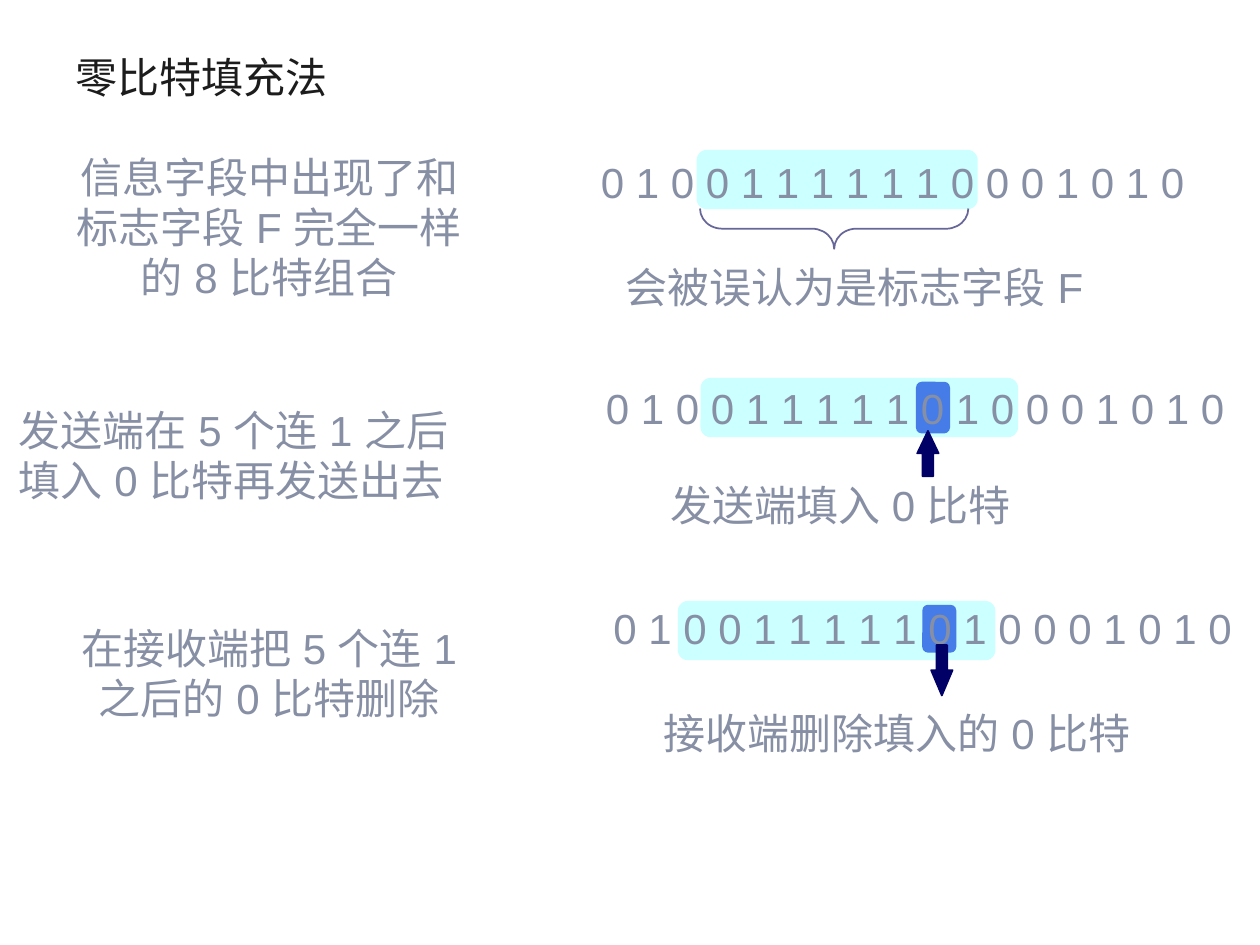
from pptx import Presentation
from pptx.dml.color import RGBColor
from pptx.enum.shapes import MSO_SHAPE
from pptx.enum.text import MSO_ANCHOR, MSO_AUTO_SIZE, PP_ALIGN
from pptx.oxml.xmlchemy import OxmlElement
from pptx.util import Inches, Pt

TITLE_FONT, BODY_FONT = "Noto Sans CJK SC", "Arial"
INK, GREY, PALE, BLUE, NAVY, VIOLET = (
    "1C1C1C", "878FA5", "CCFFFF", "467CE8", "000066", "666699")


def color(hex_string):
    return RGBColor.from_string(hex_string)


def set_font(run, font_name, hex_string):
    run.font.size = Pt(24)
    run.font.name = font_name
    run.font.color.rgb = color(hex_string)
    # East Asian glyphs use the same font
    east_asian = OxmlElement("a:ea")
    east_asian.set("typeface", font_name)
    run.font._element.append(east_asian)


def add_title(slide, text):
    shape = slide.shapes.add_textbox(Inches(0.5), Inches(0.3), Inches(9), Inches(0.61))
    frame = shape.text_frame
    frame.word_wrap = True
    frame.vertical_anchor = MSO_ANCHOR.MIDDLE
    frame.text = text
    set_font(frame.paragraphs[0].runs[0], TITLE_FONT, INK)


def add_text(slide, text, left, top, width, align=PP_ALIGN.LEFT):
    height = 0.1 + 0.4 * len(text.split("\n"))
    shape = slide.shapes.add_textbox(Inches(left), Inches(top), Inches(width), Inches(height))
    frame = shape.text_frame
    frame.word_wrap = False
    frame.auto_size = MSO_AUTO_SIZE.SHAPE_TO_FIT_TEXT
    frame.text = text
    for paragraph in frame.paragraphs:
        paragraph.alignment = align
        paragraph.line_spacing = Pt(28.8)
        for run in paragraph.runs:
            set_font(run, BODY_FONT, GREY)


def add_figure(slide, kind, box, fill=None, line=None, adjustments=()):
    shape = slide.shapes.add_shape(kind, *(Inches(value) for value in box))
    shape.shadow.inherit = False
    for index, value in enumerate(adjustments):
        shape.adjustments[index] = value
    if fill:
        shape.fill.solid()
        shape.fill.fore_color.rgb = color(fill)
    else:
        shape.fill.background()
    if line:
        shape.line.color.rgb = color(line)
        shape.line.width = Pt(1)
    else:
        shape.line.fill.background()
    return shape


def add_bits(slide, bits, left, top, width, highlight, stuffed=None):
    """A bit string over its highlighted field and, if any, its stuffed bit."""
    for box, fill in ((highlight, PALE), (stuffed, BLUE)):
        if box:
            add_figure(slide, MSO_SHAPE.ROUNDED_RECTANGLE, box, fill, adjustments=[0.17])
    add_text(slide, bits, left, top, width)


def main():
    presentation = Presentation()
    presentation.slide_width, presentation.slide_height = Inches(10), Inches(7.5)
    slide = presentation.slides.add_slide(presentation.slide_layouts[6])
    add_title(slide, "零比特填充法")

    # Data that looks like the flag field
    add_text(slide, "信息字段中出现了和\n标志字段 F 完全一样\n的 8 比特组合",
             0.39, 1.15, 3.49, PP_ALIGN.CENTER)
    add_bits(slide, "0 1 0 0 1 1 1 1 1 1 0 0 0 1 0 1 0", 4.67, 1.19, 4.83,
             highlight=(5.53, 1.19, 2.23, 0.47))
    brace = add_figure(slide, MSO_SHAPE.RIGHT_BRACE, (6.46, 0.75, 0.32, 2.13),
                       line=VIOLET, adjustments=[0.55, 0.5])
    brace.rotation = 90
    add_text(slide, "会被误认为是标志字段 F", 4.87, 2.03, 4.07)

    # Sender inserts a zero
    stuffed_bits = "0 1 0 0 1 1 1 1 1 0 1 0 0 0 1 0 1 0"
    add_text(slide, "发送端在 5 个连 1 之后\n填入 0 比特再发送出去", 0.05, 3.16, 4.07)
    add_bits(slide, stuffed_bits, 4.71, 2.99, 5.11,
             highlight=(5.56, 3, 2.52, 0.47), stuffed=(7.27, 3.03, 0.27, 0.41))
    add_figure(slide, MSO_SHAPE.UP_ARROW, (7.28, 3.42, 0.17, 0.36), NAVY, NAVY, [0.5, 1.05])
    add_text(slide, "发送端填入 0 比特", 5.22, 3.76, 3.14)

    # Receiver deletes the zero
    add_text(slide, "在接收端把 5 个连 1\n之后的 0 比特删除",
             0.35, 4.89, 3.57, PP_ALIGN.CENTER)
    add_bits(slide, stuffed_bits, 4.77, 4.73, 5.11,
             highlight=(5.38, 4.77, 2.52, 0.47), stuffed=(7.32, 4.8, 0.27, 0.38))
    add_figure(slide, MSO_SHAPE.DOWN_ARROW, (7.39, 5.12, 0.17, 0.4), NAVY, NAVY, [0.5, 1.18])
    add_text(slide, "接收端删除填入的 0 比特", 5.17, 5.57, 4.14)

    presentation.save("out.pptx")


if __name__ == "__main__":
    main()
